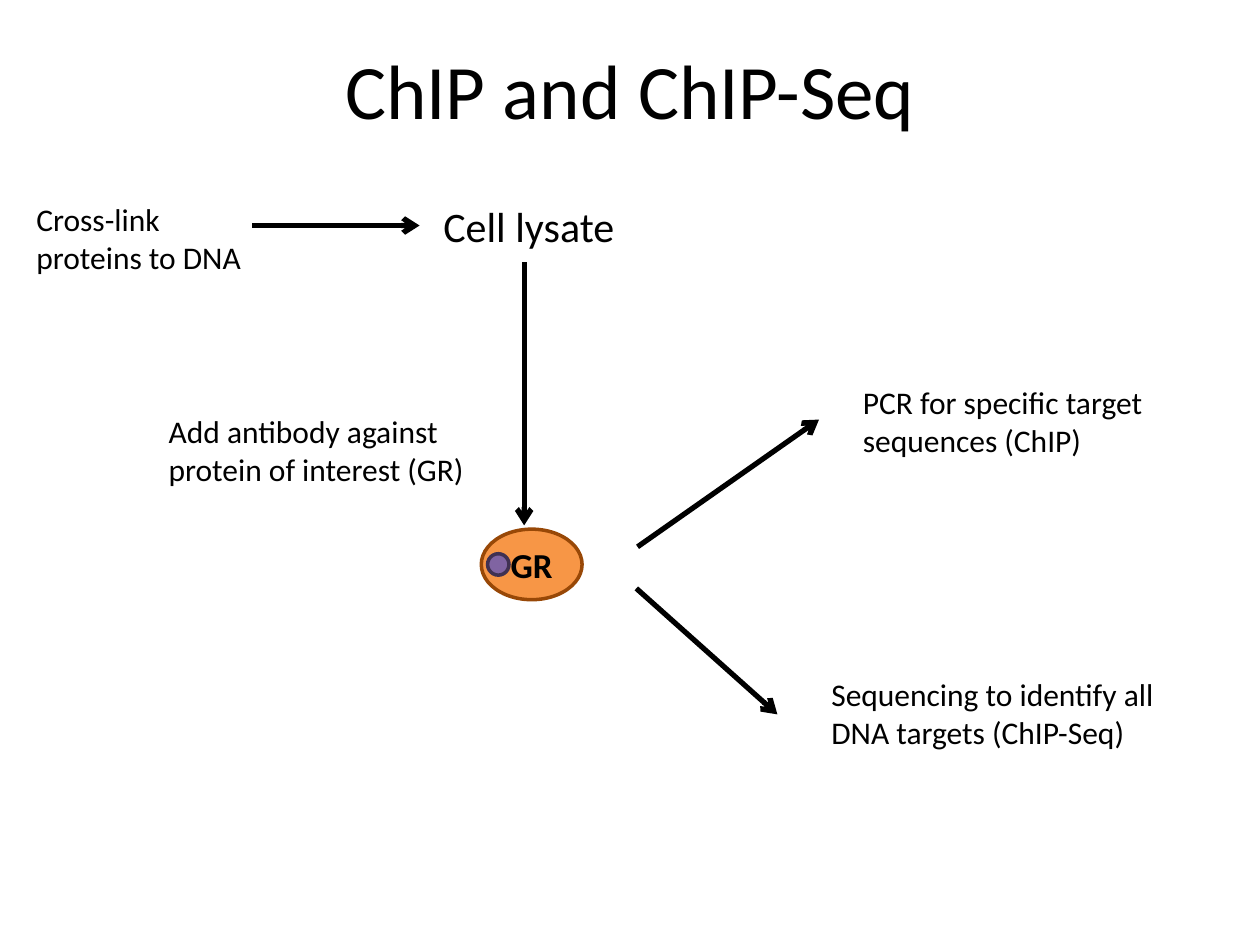
from dataclasses import dataclass

from lxml.etree import SubElement
from pptx import Presentation
from pptx.dml.color import RGBColor
from pptx.enum.shapes import MSO_CONNECTOR as Connector, MSO_SHAPE as Shape
from pptx.enum.text import MSO_ANCHOR as Anchor, PP_ALIGN as Align
from pptx.oxml.ns import qn
from pptx.util import Inches, Pt


@dataclass(frozen=True)
class Theme:
    """Hold the colours, font and sizes of the slide."""
    font: str = "Calibri"
    ink: str = "000000"
    protein: str = "F79646"
    protein_edge: str = "984807"
    antibody: str = "8064A2"
    antibody_edge: str = "403152"
    title: int = 44
    stage: int = 24
    label: int = 20
    note: int = 18
    arrow: int = 3
    outline: int = 2


THEME = Theme()


def rgb(code):
    """Turn a hex code into a colour."""
    return RGBColor.from_string(code)


def write(frame, text, size, bold=False, align=Align.LEFT, anchor=Anchor.TOP):
    """Fill a text frame with one styled paragraph."""
    frame.word_wrap = True
    frame.vertical_anchor = anchor
    paragraph = frame.paragraphs[0]
    paragraph.text = text
    paragraph.alignment = align
    font = paragraph.font
    font.name, font.size, font.bold = THEME.font, Pt(size), bold
    font.color.rgb = rgb(THEME.ink)


def add_label(slide, box, text, size=THEME.note, **style):
    """Place a wrapped text box."""
    label = slide.shapes.add_textbox(*map(Inches, box))
    write(label.text_frame, text, size, **style)


def add_arrow(slide, start, end):
    """Draw a straight arrow from start to end."""
    arrow = slide.shapes.add_connector(
        Connector.STRAIGHT, *map(Inches, (*start, *end)))
    arrow.line.color.rgb = rgb(THEME.ink)
    arrow.line.width = Pt(THEME.arrow)
    SubElement(arrow.line._get_or_add_ln(), qn("a:tailEnd"), type="arrow")
    SubElement(arrow._element.spPr, qn("a:effectLst"))


def add_oval(group, box, fill, edge):
    """Draw an outlined oval in a group."""
    oval = group.shapes.add_shape(Shape.OVAL, *map(Inches, box))
    oval.shadow.inherit = False
    oval.fill.solid()
    oval.fill.fore_color.rgb = rgb(fill)
    oval.line.color.rgb = rgb(edge)
    oval.line.width = Pt(THEME.outline)
    return oval


def add_title(slide, box):
    """Place the centred slide title."""
    add_label(slide, box, "ChIP and ChIP-Seq", THEME.title,
              align=Align.CENTER, anchor=Anchor.MIDDLE)


def add_preparation(slide, box):
    """Lay out the steps from cross-linking to the antibody."""
    left, top, width, height = box
    lysate_left = left + width - 1.81
    flow_y, drop_x = top + 0.25, left + 3.97
    add_label(slide, (left + 1.05, top + 1.68, 2.58, 1.01),
              "Add antibody against protein of interest (GR)")
    add_label(slide, (left, top, 1.99, 0.71), "Cross-link proteins to DNA")
    add_label(slide, (lysate_left, top, 1.81, 0.5), "Cell lysate", THEME.stage)
    add_arrow(slide, (left + 1.81, flow_y), (lysate_left - 0.09, flow_y))
    add_arrow(slide, (drop_x, top + 0.54), (drop_x, top + height))


def add_complex(slide, box):
    """Draw the GR protein with its bound antibody."""
    left, top, width, height = box
    bound = slide.shapes.add_group_shape()
    protein = add_oval(bound, box, THEME.protein, THEME.protein_edge)
    write(protein.text_frame, "GR", THEME.label, bold=True,
          align=Align.CENTER, anchor=Anchor.MIDDLE)
    protein.text_frame.word_wrap = False
    size = 0.17
    add_oval(bound, (left + 0.05, top + (height - size) / 2, size, size),
             THEME.antibody, THEME.antibody_edge)


def add_readouts(slide, box):
    """Branch into the two ways of reading the bound DNA."""
    left, top, width, height = box
    note_height = 0.71
    add_arrow(slide, (left + 0.01, top + 1.35), (left + 1.45, top + 0.34))
    add_label(slide, (left + 1.7, top, 2.5, note_height),
              "PCR for specific target sequences (ChIP)")
    add_arrow(slide, (left, top + 1.68), (left + 1.12, top + 2.68))
    add_label(slide, (left + 1.45, top + height - note_height,
                      width - 1.45, note_height),
              "Sequencing to identify all DNA targets (ChIP-Seq)")


def main():
    """Build and save the slide."""
    deck = Presentation()
    deck.slide_width, deck.slide_height = Inches(10), Inches(7.5)
    slide = deck.slides.add_slide(deck.slide_layouts[6])
    add_title(slide, (0.5, 0.08, 9, 1.25))
    add_preparation(slide, (0.19, 1.54, 5.04, 2.63))
    add_complex(slide, (3.82, 4.2, 0.8, 0.56))
    add_readouts(slide, (5.05, 2.99, 4.28, 3.03))
    deck.save("out.pptx")


if __name__ == "__main__":
    main()
